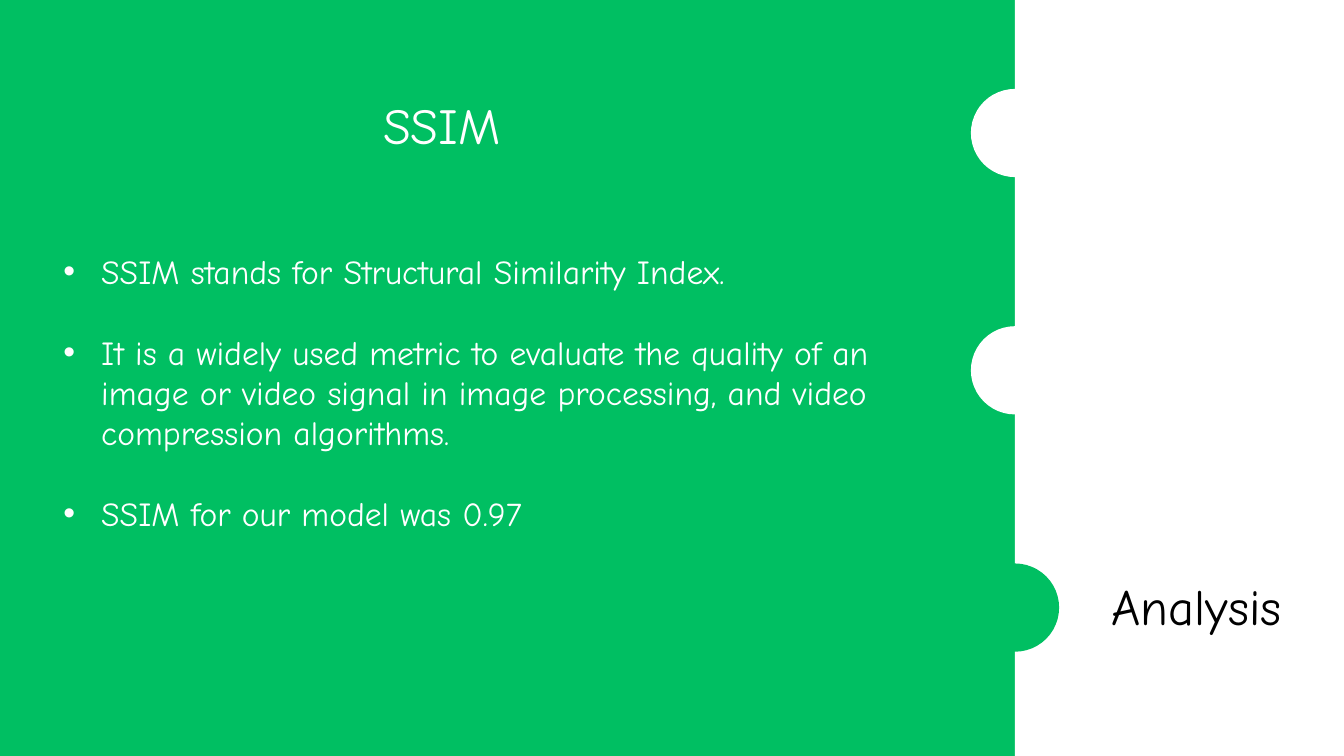
from lxml import etree
from pptx import Presentation
from pptx.dml.color import RGBColor
from pptx.enum.shapes import MSO_SHAPE
from pptx.enum.text import MSO_AUTO_SIZE
from pptx.oxml.ns import qn
from pptx.util import Pt

# Content
TITLE = "SSIM"
SECTION = "Analysis"
POINTS = [
    "SSIM stands for Structural Similarity Index.",
    "It is a widely used metric to evaluate the quality of an image or video "
    "signal in image processing, and video compression algorithms.",
    "SSIM for our model was 0.97",
]
TABS = ["white", "white", "green"]

THEME = {
    "green": RGBColor(0x00, 0xBF, 0x62),
    "white": RGBColor(0xFF, 0xFF, 0xFF),
    "black": RGBColor(0x00, 0x00, 0x00),
    "font": "Comic Neue",
    "heading": 36,
    "body": 24,
}

# Layout, in points
WIDTH, HEIGHT = 960, 540
PANEL_LEFT = 725
TAB_SIZE, TAB_TOP, TAB_PITCH = 63, 63.5, 169.5
INDENT = 27
POINT_GAP = 28.8


def add_block(page, kind, left, top, width, height, color):
    shape = page.shapes.add_shape(kind, Pt(left), Pt(top), Pt(width), Pt(height))
    shape.shadow.inherit = False
    shape.fill.solid()
    shape.fill.fore_color.rgb = THEME[color]
    shape.line.fill.background()


def add_text(page, left, top, width, height, lines, size, color, bullets=False):
    box = page.shapes.add_textbox(Pt(left), Pt(top), Pt(width), Pt(height))
    frame = box.text_frame
    frame.word_wrap = bullets
    frame.auto_size = MSO_AUTO_SIZE.SHAPE_TO_FIT_TEXT
    for index, line in enumerate(lines):
        para = frame.add_paragraph() if index else frame.paragraphs[0]
        if index:
            para.space_before = Pt(POINT_GAP)
        if bullets:
            add_bullet(para)
        span = para.add_run()
        span.text = line
        span.font.name = THEME["font"]
        span.font.size = Pt(THEME[size])
        span.font.color.rgb = THEME[color]


def add_bullet(para):
    properties = para._p.get_or_add_pPr()
    properties.set("marL", str(Pt(INDENT)))
    properties.set("indent", str(-Pt(INDENT)))
    etree.SubElement(properties, qn("a:buFont")).set("typeface", "Arial")
    etree.SubElement(properties, qn("a:buChar")).set("char", "•")


def main():
    deck = Presentation()
    deck.slide_width, deck.slide_height = Pt(WIDTH), Pt(HEIGHT)
    page = deck.slides.add_slide(deck.slide_layouts[6])
    page.background.fill.solid()
    page.background.fill.fore_color.rgb = THEME["green"]

    # Side panel with round tabs centred on its edge
    add_block(page, MSO_SHAPE.RECTANGLE, PANEL_LEFT, 0,
              WIDTH - PANEL_LEFT, HEIGHT, "white")
    for index, color in enumerate(TABS):
        add_block(page, MSO_SHAPE.OVAL, PANEL_LEFT - TAB_SIZE / 2,
                  TAB_TOP + index * TAB_PITCH, TAB_SIZE, TAB_SIZE, color)

    # Section label, title and points
    add_text(page, 787, 407.5, 157.5, 51, [SECTION], "heading", "black")
    add_text(page, 266.5, 63.5, 107, 51, [TITLE], "heading", "white")
    add_text(page, 38.2, 175.7, 640, 211, POINTS, "body", "white", bullets=True)

    deck.save("out.pptx")


if __name__ == "__main__":
    main()
